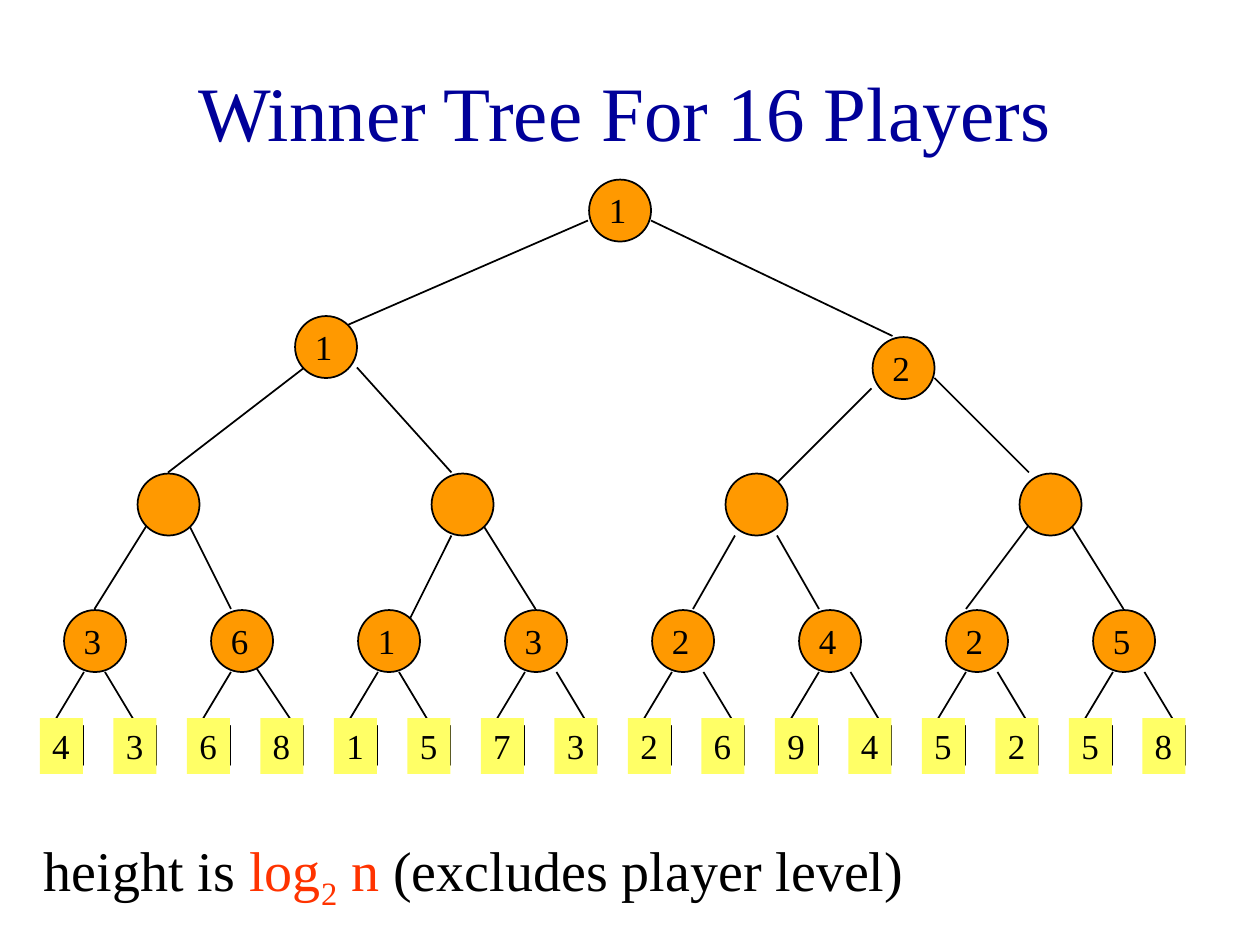
from dataclasses import dataclass

from lxml.etree import SubElement
from pptx import Presentation
from pptx.dml.color import RGBColor
from pptx.enum.shapes import MSO_CONNECTOR, MSO_SHAPE
from pptx.enum.text import MSO_ANCHOR, MSO_AUTO_SIZE, PP_ALIGN
from pptx.oxml.ns import qn
from pptx.util import Emu, Pt

EMU_PER_PX = 7620  # 120 px to the inch
FONT = "Times New Roman"
NAVY = RGBColor(0x00, 0x00, 0x99)
RED = RGBColor(0xFF, 0x33, 0x00)
BLACK = RGBColor(0x00, 0x00, 0x00)
ORANGE = RGBColor(0xFF, 0x99, 0x00)
YELLOW = RGBColor(0xFF, 0xFF, 0x66)

PLAYERS = "4368157326945258"
FIRST_WINNERS = "36132425"
PLAYER_STEP = 70
MATCH_STEP = 2 * PLAYER_STEP
NODE_SIZE = 59
LABEL_WIDTH, LABEL_HEIGHT = 41, 53


@dataclass(frozen=True)
class Node:
    left: int
    top: int
    winner: str = ""


@dataclass(frozen=True)
class Edge:
    x1: int
    y1: int
    x2: int
    y2: int


@dataclass(frozen=True)
class TextRun:
    text: str
    color: RGBColor = BLACK
    subscript: bool = False


NODES = [
    Node(561, 171, "1"),
    Node(281, 301, "1"),
    Node(831, 321, "2"),
    *(Node(131 + 2 * MATCH_STEP * i, 451) for i in range(4)),
    *(Node(61 + MATCH_STEP * i, 581, winner) for i, winner in enumerate(FIRST_WINNERS)),
]

UPPER_EDGES = [
    Edge(560, 210, 330, 310), Edge(620, 210, 850, 320),
    Edge(290, 350, 160, 450), Edge(340, 350, 430, 450),
    Edge(830, 370, 740, 460), Edge(890, 360, 980, 450),
    Edge(140, 500, 90, 580), Edge(180, 500, 220, 580),
    Edge(430, 510, 390, 590), Edge(460, 500, 510, 580),
    Edge(700, 510, 660, 580), Edge(740, 510, 780, 580),
    Edge(980, 500, 920, 580), Edge(1020, 500, 1070, 580),
]


def px(length: int) -> Emu:
    return Emu(length * EMU_PER_PX)


def player_edges(match: int) -> list[Edge]:
    """Two edges from a first-round match down to its players."""
    offset = match * MATCH_STEP
    left = Edge(80 + offset, 640, 50 + offset, 690)
    if match == 1:  # this edge starts higher, under its node
        return [left, Edge(100 + offset, 630, 140 + offset, 690)]
    start = offset + (100 if match < 3 else 110)
    return [left, Edge(start, 640, start + 30, 690)]


def write(frame, runs: list[TextRun], *, size: int, align=PP_ALIGN.LEFT,
          anchor=MSO_ANCHOR.TOP, wrap: bool = False, fit=MSO_AUTO_SIZE.SHAPE_TO_FIT_TEXT) -> None:
    frame.word_wrap = wrap
    frame.auto_size = fit
    frame.vertical_anchor = anchor
    paragraph = frame.paragraphs[0]
    paragraph.alignment = align
    for item in runs:
        run = paragraph.add_run()
        run.text = item.text
        run.font.name = FONT
        run.font.size = Pt(size)
        run.font.color.rgb = item.color
        if item.subscript:
            run._r.get_or_add_rPr().set("baseline", "-25000")


def add_outlined(slide, kind, left: int, top: int, size: int, color: RGBColor) -> None:
    shape = slide.shapes.add_shape(kind, px(left), px(top), px(size), px(size))
    shape.shadow.inherit = False
    shape.fill.solid()
    shape.fill.fore_color.rgb = color
    shape.line.color.rgb = BLACK
    shape.line.width = Pt(1)


def add_edge(slide, edge: Edge) -> None:
    connector = slide.shapes.add_connector(
        MSO_CONNECTOR.STRAIGHT, px(edge.x1), px(edge.y1), px(edge.x2), px(edge.y2))
    connector.line.color.rgb = BLACK
    connector.line.width = Pt(1)
    SubElement(connector._element.spPr, qn("a:effectLst"))


def add_label(slide, text: str, left: int, top: int, fill: RGBColor | None = None) -> None:
    box = slide.shapes.add_textbox(px(left), px(top), px(LABEL_WIDTH), px(LABEL_HEIGHT))
    if fill is not None:
        box.fill.solid()
        box.fill.fore_color.rgb = fill
    write(box.text_frame, [TextRun(text)], size=20)


def main() -> None:
    presentation = Presentation()
    presentation.slide_width, presentation.slide_height = px(1200), px(900)
    slide = presentation.slides.add_slide(presentation.slide_layouts[5])

    # Title
    title = slide.shapes.title
    title.left, title.top, title.width, title.height = px(10), px(30), px(1170), px(150)
    write(title.text_frame, [TextRun("Winner Tree For 16 Players", NAVY)], size=44,
          align=PP_ALIGN.CENTER, anchor=MSO_ANCHOR.MIDDLE, wrap=True, fit=MSO_AUTO_SIZE.NONE)

    # Player squares
    for i in range(len(PLAYERS)):
        add_outlined(slide, MSO_SHAPE.RECTANGLE, 41 + PLAYER_STEP * i, 691, 38, YELLOW)

    # Edges, then match nodes over their ends
    for edge in UPPER_EDGES:
        add_edge(slide, edge)
    for match in range(len(FIRST_WINNERS)):
        for edge in player_edges(match):
            add_edge(slide, edge)
    for node in NODES:
        add_outlined(slide, MSO_SHAPE.OVAL, node.left, node.top, NODE_SIZE, ORANGE)

    # Player and winner numbers
    for i, player in enumerate(PLAYERS):
        add_label(slide, player, 38 + PLAYER_STEP * i, 684, YELLOW)
    for node in NODES:
        if node.winner:
            add_label(slide, node.winner, node.left + 7, node.top + 3)

    # Height note
    note = slide.shapes.add_textbox(px(30), px(790), px(1110), px(77))
    write(note.text_frame, [
        TextRun("height is "),
        TextRun("log", RED),
        TextRun("2", RED, subscript=True),
        TextRun(" n", RED),
        TextRun(" (excludes player level)"),
    ], size=32, wrap=True)

    presentation.save("out.pptx")


if __name__ == "__main__":
    main()
